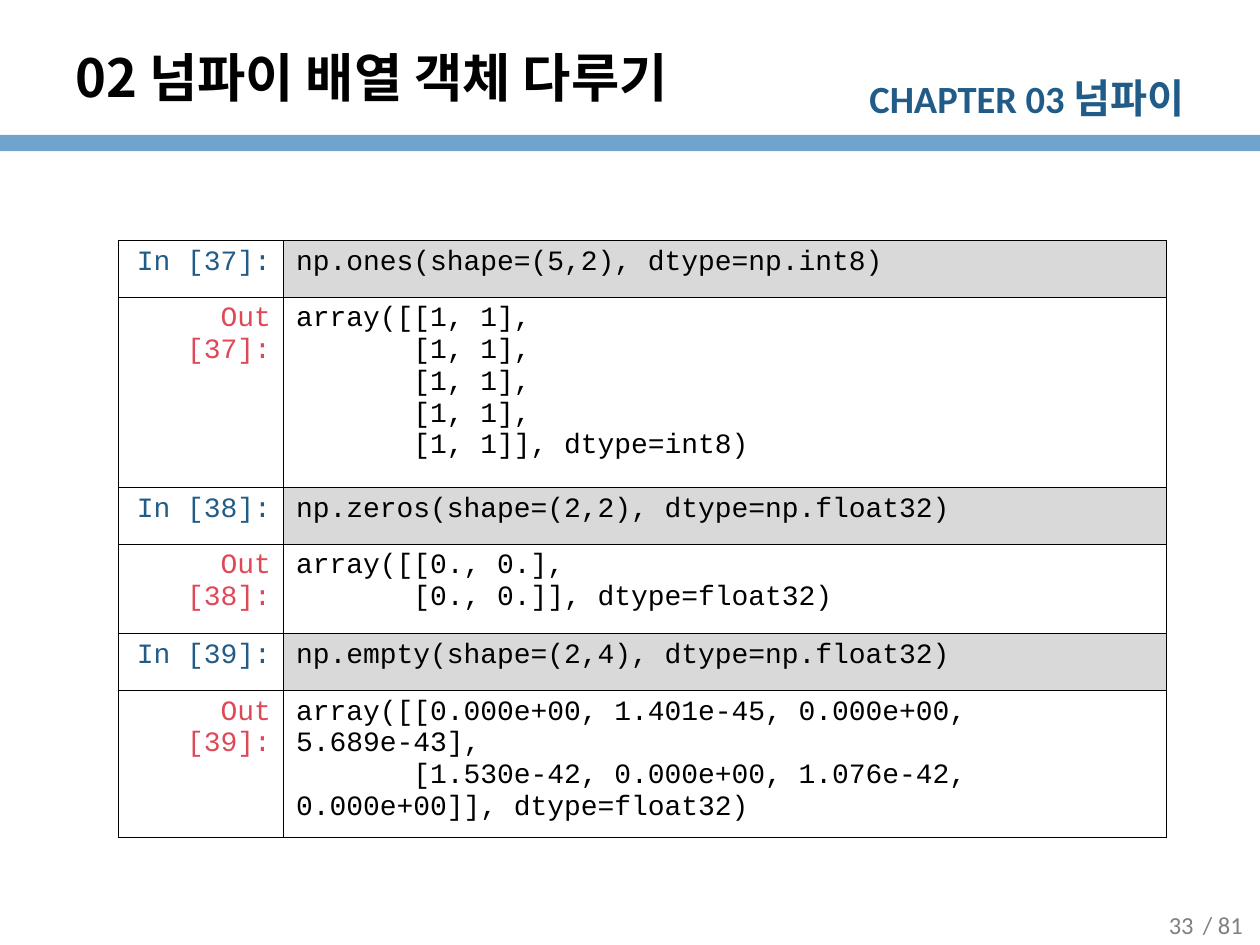
from lxml.etree import SubElement
from pptx import Presentation
from pptx.dml.color import RGBColor
from pptx.enum.shapes import MSO_SHAPE
from pptx.enum.text import MSO_ANCHOR, PP_ALIGN
from pptx.oxml.ns import qn
from pptx.util import Inches, Pt

COLORS = {
    "band": "71A4CC", "input": "215C88", "output": "DF4857", "code": "000000",
    "input_fill": "D9D9D9", "output_fill": "FFFFFF", "page": "808080",
}
KOREAN, LATIN, MONO = "Noto Sans CJK KR", "Calibri", "Courier New"
UNIT = 0.1  # inches per grid step: 100 columns by 75 rows


def color(name):
    return RGBColor.from_string(COLORS[name])


def grid(*steps):
    return [Inches(step * UNIT) for step in steps]


class Deck:
    def __init__(self, columns, rows):
        self.presentation = Presentation()
        self.presentation.slide_width, self.presentation.slide_height = grid(columns, rows)
        self.slide = self.presentation.slides.add_slide(self.presentation.slide_layouts[6])

    def add_run(self, paragraph, text, size, font, tint, bold=False):
        run = paragraph.add_run()
        run.text = text
        run.font.size, run.font.name, run.font.bold = Pt(size), font, bold
        run.font.color.rgb = color(tint)
        east_asian = MONO if font == MONO else KOREAN
        SubElement(run._r.get_or_add_rPr(), qn("a:ea"), typeface=east_asian)

    def bar(self, area, tint):
        band = self.slide.shapes.add_shape(MSO_SHAPE.RECTANGLE, *grid(*area))
        band.shadow.inherit = False
        band.fill.solid()
        band.fill.fore_color.rgb = color(tint)
        band.line.fill.background()

    def text(self, area, runs, font, tint, align, bold=False, anchor=MSO_ANCHOR.MIDDLE):
        frame = self.slide.shapes.add_textbox(*grid(*area)).text_frame
        frame.word_wrap = True
        frame.vertical_anchor = anchor
        paragraph = frame.paragraphs[0]
        paragraph.alignment = align
        for words, size in runs:
            self.add_run(paragraph, words, size, font, tint, bold)

    def cell(self, cell, lines, tint, fill, align):
        properties = cell._tc.get_or_add_tcPr()
        for side in ("lnL", "lnR", "lnT", "lnB"):
            border = SubElement(properties, qn(f"a:{side}"), w=str(Pt(1)))
            paint = SubElement(border, qn("a:solidFill"))
            SubElement(paint, qn("a:srgbClr"), val=COLORS["code"])
        cell.fill.solid()
        cell.fill.fore_color.rgb = color(fill)
        frame = cell.text_frame
        for index, line in enumerate(lines):
            paragraph = frame.add_paragraph() if index else frame.paragraphs[0]
            paragraph.alignment = align
            self.add_run(paragraph, line, 16, MONO, tint)

    def notebook(self, area, widths, heights, entries):
        table = self.slide.shapes.add_table(len(heights), len(widths), *grid(*area)).table
        table.first_row = table.horz_banding = False
        for column, width in zip(table.columns, grid(*widths)):
            column.width = width
        for row, height in zip(table.rows, grid(*heights)):
            row.height = height
        for index, (number, command, result) in enumerate(entries):
            parts = (("In", "input", [command]), ("Out", "output", result))
            for offset, (label, kind, lines) in enumerate(parts):
                prompt, code = table.rows[2 * index + offset].cells
                self.cell(prompt, [f"{label} [{number}]:"], kind, "output_fill", PP_ALIGN.RIGHT)
                self.cell(code, lines, "code", f"{kind}_fill", PP_ALIGN.LEFT)


def main():
    deck = Deck(100, 75)

    # Header band and chapter name
    deck.bar((0, 10.7, 100, 1.3), "band")
    deck.text((66.2, 5.3, 28.8, 4.8), [("CHAPTER 03 ", 22), ("넘파이", 23)],
              LATIN, "input", PP_ALIGN.RIGHT, True, MSO_ANCHOR.TOP)

    # Page count
    for left, words in ((93.5, "/ 81"), (90.2, "33")):
        deck.text((left, 71.4, 7.1, 3.9), [(words, 14)], LATIN, "page", PP_ALIGN.CENTER)

    # Section title
    deck.text((5, 3, 78.3, 6.2), [("02 넘파이 배열 객체 다루기", 30)],
              KOREAN, "code", PP_ALIGN.LEFT, True)

    # Notebook inputs and outputs
    entries = [
        (37, "np.ones(shape=(5,2), dtype=np.int8)",
         ["array([[1, 1],"] + ["       [1, 1],"] * 3 + ["       [1, 1]], dtype=int8)"]),
        (38, "np.zeros(shape=(2,2), dtype=np.float32)",
         ["array([[0., 0.],",
          "       [0., 0.]], dtype=float32)"]),
        (39, "np.empty(shape=(2,4), dtype=np.float32)",
         ["array([[0.000e+00, 1.401e-45, 0.000e+00, 5.689e-43],",
          "       [1.530e-42, 0.000e+00, 1.076e-42, 0.000e+00]], dtype=float32)"]),
    ]
    deck.notebook((9.4, 19.1, 83.3, 45.5), (13.1, 70.1),
                  (4.5, 15.1, 4.5, 7.1, 4.5, 9.8), entries)

    deck.presentation.save("out.pptx")


if __name__ == "__main__":
    main()
